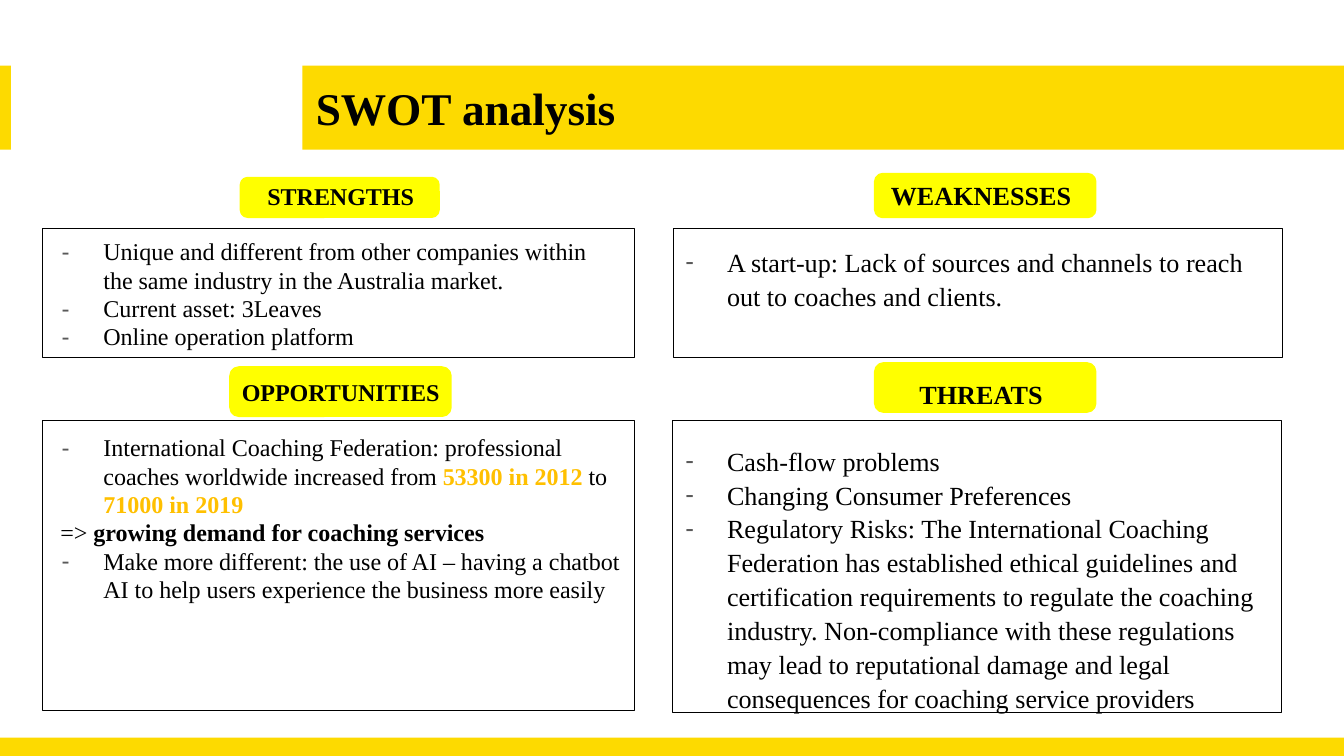
from lxml.etree import SubElement
from pptx import Presentation
from pptx.dml.color import RGBColor
from pptx.enum.shapes import MSO_SHAPE
from pptx.enum.text import MSO_ANCHOR, MSO_AUTO_SIZE, PP_ALIGN
from pptx.oxml.ns import qn
from pptx.util import Pt

COLORS = {
    "band": "FDDA00", "label": "FFFF00", "panel": "FFFFFF",
    "ink": "000000", "dash": "595959", "figure": "FFC000",
}
FONT = "Times New Roman"

BANDS = [(0, 395.2, 720, 9.8), (162, 35.2, 558, 45), (0, 35.2, 5.8, 45)]
LABELS = [
    (469.2, 195, 117.2, 25.2), (469.2, 93.6, 117.2, 22.3),
    (123.8, 197.2, 117.2, 25.2), (129.4, 95.7, 105.2, 20.1),
]
PANELS = [
    (22.7, 122.4, 317.1, 69.1), (22.7, 225.3, 317.1, 155.5),
    (360.2, 225.3, 326.2, 156.3), (360.7, 122.4, 326.2, 69.1),
]

STRENGTHS = [
    "Unique and different from other companies within the same industry in the Australia market.",
    "Current asset: 3Leaves",
    "Online operation platform",
]
OPPORTUNITIES = [
    [("International Coaching Federation: professional coaches worldwide increased from ", {}),
     ("53300 in 2012 ", {"color": "figure", "bold": True}),
     ("to ", {}),
     ("71000 in 2019", {"color": "figure", "bold": True})],
    [("=> ", {}), ("growing demand for coaching services", {"bold": True})],
    "Make more different: the use of AI – having a chatbot AI to help users "
    "experience the business more easily",
]
WEAKNESSES = ["A start-up: Lack of sources and channels to reach out to coaches and clients."]
THREATS = [
    "Cash-flow problems",
    "Changing Consumer Preferences",
    "Regulatory Risks: The International Coaching Federation has established ethical "
    "guidelines and certification requirements to regulate the coaching industry. "
    "Non-compliance with these regulations may lead to reputational damage and legal "
    "consequences for coaching service providers",
]


def rgb(name):
    """Return the named colour."""
    return RGBColor.from_string(COLORS[name])


def add_text(paragraph, text, size, color="ink", bold=False):
    """Add one formatted run to a paragraph."""
    run = paragraph.add_run()
    run.text = text
    run.font.name, run.font.size, run.font.bold = FONT, Pt(size), bold
    run.font.color.rgb = rgb(color)


def add_block(slide, kind, box, fill, line=None, width=0):
    """Draw a filled shape with an optional outline."""
    block = slide.shapes.add_shape(kind, *map(Pt, box))
    block.shadow.inherit = False
    block.fill.solid()
    block.fill.fore_color.rgb = rgb(fill)
    if line:
        block.line.color.rgb = rgb(line)
        block.line.width = Pt(width)
    else:
        block.line.fill.background()


def place(slide, placeholder, box, anchor):
    """Bring a placeholder to the front, position it and return its text frame."""
    slide.shapes._spTree.append(placeholder._element)
    placeholder.left, placeholder.top, placeholder.width, placeholder.height = map(Pt, box)
    frame = placeholder.text_frame
    frame.word_wrap, frame.auto_size = True, MSO_AUTO_SIZE.NONE
    frame.vertical_anchor = anchor
    frame.margin_left = frame.margin_right = frame.margin_top = frame.margin_bottom = Pt(7.2)
    return frame


def format_paragraph(paragraph, spacing, before=0, align=PP_ALIGN.LEFT, dash=False):
    """Set spacing, indents and the dash bullet of a paragraph."""
    properties = paragraph._p.get_or_add_pPr()
    properties.set("marL", str(Pt(33.8 if dash else 10.8)))
    properties.set("indent", str(Pt(-22.3 if dash else 0)))
    if dash:
        tint = SubElement(properties, qn("a:buClr"))
        SubElement(tint, qn("a:srgbClr")).set("val", COLORS["dash"])
        SubElement(properties, qn("a:buChar")).set("char", "-")
    else:
        SubElement(properties, qn("a:buNone"))
    paragraph.alignment = align
    paragraph.line_spacing = spacing
    paragraph.space_before, paragraph.space_after = Pt(before), Pt(0)


def fill_column(frame, sections, size, spacing, pitch):
    """Write headed lists, with gaps counted in lines of the given pitch."""
    paragraph = frame.paragraphs[0]
    for heading, lines_above, items in sections:
        if lines_above:
            paragraph = frame.add_paragraph()
        format_paragraph(paragraph, spacing, lines_above * pitch, PP_ALIGN.CENTER)
        add_text(paragraph, heading, size, bold=True)
        for number, item in enumerate(items):
            pieces = [(item, {})] if isinstance(item, str) else item
            paragraph = frame.add_paragraph()
            format_paragraph(paragraph, spacing, 0 if number else pitch,
                             dash=not pieces[0][0].startswith("=>"))
            for text, style in pieces:
                add_text(paragraph, text, size, **style)


def main():
    """Build the SWOT slide."""
    deck = Presentation()
    deck.slide_width, deck.slide_height = Pt(720), Pt(405)
    slide = deck.slides.add_slide(deck.slide_layouts[3])
    title, left, right = slide.placeholders

    for box in BANDS:
        add_block(slide, MSO_SHAPE.RECTANGLE, box, "band")
    for box in LABELS:
        add_block(slide, MSO_SHAPE.ROUNDED_RECTANGLE, box, "label", "label", 2)
    for box in PANELS:
        add_block(slide, MSO_SHAPE.RECTANGLE, box, "panel", "ink", 0.5)

    heading = place(slide, title, (162, 35.2, 533.5, 45), MSO_ANCHOR.MIDDLE).paragraphs[0]
    heading.alignment = PP_ALIGN.LEFT
    add_text(heading, "SWOT analysis", 24.3, bold=True)

    internal = place(slide, left, (14.4, 90.7, 325.4, 269.3), MSO_ANCHOR.TOP)
    fill_column(internal, [("STRENGTHS", 0, STRENGTHS),
                           ("OPPORTUNITIES", 1, OPPORTUNITIES)], 12.9, 0.98, 14.6)
    external = place(slide, right, (348.5, 87.8, 343.4, 307.4), MSO_ANCHOR.TOP)
    fill_column(external, [("WEAKNESSES", 0, WEAKNESSES),
                           ("THREATS", 2, THREATS)], 14, 1.08, 17.4)
    deck.save("out.pptx")


if __name__ == "__main__":
    main()
